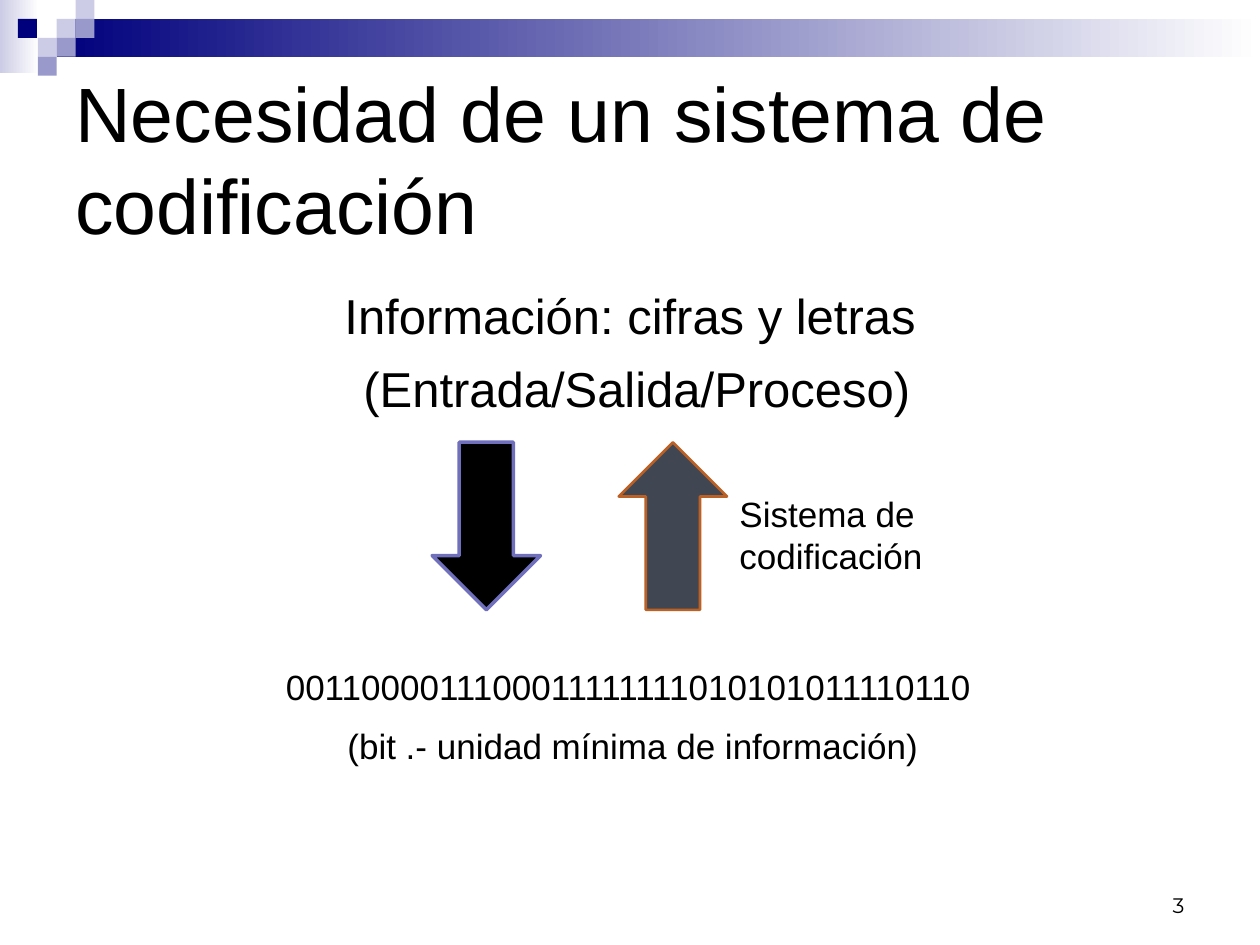
from dataclasses import dataclass

from pptx import Presentation
from pptx import util as u
from pptx.dml.color import RGBColor
from pptx.enum import shapes, text


@dataclass(frozen=True)
class Theme:
    ink: str = "000000"
    paper: str = "FFFFFF"
    navy: str = "00007D"
    violet: str = "9999CC"
    lilac: str = "CCCCE6"
    slate: str = "414752"
    periwinkle: str = "6F6FBC"
    rust: str = "BB6126"
    font: str = "Arial"
    number_font: str = "Montserrat"
    title: int = 44
    body: int = 28
    label: int = 20
    number: int = 12


class SlideBuilder:
    COLUMNS, ROWS = 100, 75

    def __init__(self, presentation, theme):
        self.theme = theme
        self.column = presentation.slide_width / self.COLUMNS
        self.row = presentation.slide_height / self.ROWS
        self.slide = presentation.slides.add_slide(presentation.slide_layouts[6])

    def place(self, left, top, width, height):
        return [round(value * step) for value, step in
                zip((left, top, width, height), (self.column, self.row) * 2)]

    def shape(self, kind, *area):
        shape = self.slide.shapes.add_shape(kind, *self.place(*area))
        shape.shadow.inherit = False
        shape.line.fill.background()
        return shape

    def block(self, color, *area):
        shape = self.shape(shapes.MSO_SHAPE.RECTANGLE, *area)
        shape.fill.solid()
        shape.fill.fore_color.rgb = RGBColor.from_string(color)

    def fade(self, color, *area):
        shape = self.shape(shapes.MSO_SHAPE.RECTANGLE, *area)
        shape.fill.gradient()
        shape.fill.gradient_angle = 0
        for stop, stop_color, position in zip(
                shape.fill.gradient_stops, (color, self.theme.paper), (0, 1)):
            stop.color.rgb = RGBColor.from_string(stop_color)
            stop.position = position

    def arrow(self, left, fill, line, weight, rotation=0):
        shape = self.shape(shapes.MSO_SHAPE.DOWN_ARROW, left, 35.1, 8.6, 13.3)
        shape.rotation = rotation
        shape.fill.solid()
        shape.fill.fore_color.rgb = RGBColor.from_string(fill)
        shape.line.color.rgb = RGBColor.from_string(line)
        shape.line.width = u.Pt(weight)

    def text(self, lines, area, size, align=text.PP_ALIGN.LEFT,
             anchor=text.MSO_ANCHOR.TOP, font=None, wrap=True, gap=0):
        frame = self.slide.shapes.add_textbox(*self.place(*area)).text_frame
        frame.word_wrap = wrap
        frame.vertical_anchor = anchor
        for index, line in enumerate(lines):
            paragraph = frame.add_paragraph() if index else frame.paragraphs[0]
            paragraph.text = line
            paragraph.alignment = align
            if index:
                paragraph.space_before = u.Pt(gap)
            paragraph.font.name = font or self.theme.font
            paragraph.font.size = u.Pt(size)
            paragraph.font.color.rgb = RGBColor.from_string(self.theme.ink)


def main():
    presentation = Presentation()
    presentation.slide_width = u.Inches(10)
    presentation.slide_height = u.Inches(7.5)
    theme = Theme()
    builder = SlideBuilder(presentation, theme)

    builder.fade(theme.lilac, 0, 0, 3.1, 5.8)
    builder.fade(theme.navy, 4.5, 1.5, 95.5, 3)
    square = 1.5
    mosaic = [
        (3, 1, theme.lilac), (4, 0, theme.lilac), (4, 1, theme.violet),
        (2, 2, theme.lilac), (0.95, 1, theme.navy), (3, 2, theme.violet),
        (2, 3, theme.violet),
    ]
    for column, row, color in mosaic:
        builder.block(color, column * square, row * square, square, square)

    center = text.PP_ALIGN.CENTER
    builder.text(["3"], (71.7, 68.3, 23.3, 5), theme.number,
                 text.PP_ALIGN.RIGHT, text.MSO_ANCHOR.BOTTOM, theme.number_font)
    builder.text(["Necesidad de un sistema de codificación"], (5, 5, 90, 15),
                 theme.title, anchor=text.MSO_ANCHOR.MIDDLE)
    builder.text(["Información: cifras y letras", " (Entrada/Salida/Proceso)"],
                 (5, 22.2, 90, 41.7), theme.body, center, gap=8)
    builder.arrow(34.3, theme.ink, theme.periwinkle, 2)
    builder.text(["Sistema de codificación"], (57.7, 38.6, 31.2, 4.4),
                 theme.label, wrap=False)
    builder.text(["0011000011100011111111010101011110110"],
                 (21.7, 52.3, 59.3, 4.4), theme.label, wrap=False)
    builder.arrow(49.1, theme.slate, theme.rust, 1.5, rotation=180)
    builder.text([" (bit .- unidad mínima de información)"],
                 (23.3, 57, 53.1, 4.4), theme.label, center)

    presentation.save("out.pptx")


if __name__ == "__main__":
    main()
